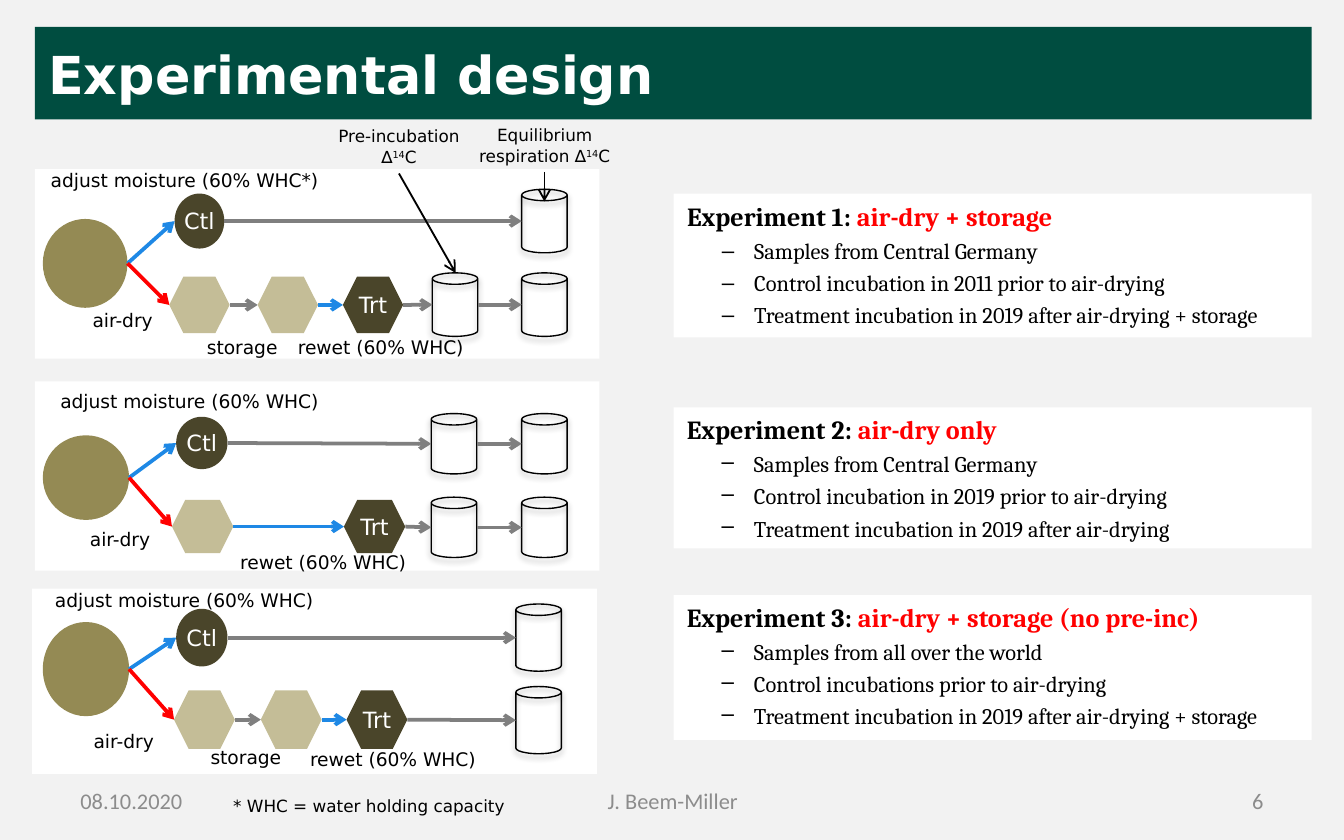
from lxml import etree
from pptx import Presentation
from pptx import util as u
from pptx.dml.color import RGBColor
from pptx.enum import shapes, text
from pptx.oxml import ns

HEX = dict(back="F2F2F2", white="FFFFFF", black="000000", green="004D40",
           red="FF0000", blue="1E88E5", gray="7F7F7F", foot="8C8C8C",
           soil="948A54", dry="C4BD97", wet="4A452A")
KIND = shapes.MSO_SHAPE
SIDE = dict(l=text.PP_ALIGN.LEFT, c=text.PP_ALIGN.CENTER, r=text.PP_ALIGN.RIGHT)
SANS = dict(name="DejaVu Sans", size=u.Pt(10), bold=False)
NOTE = SANS | dict(size=u.Pt(9))
MARK = SANS | dict(size=u.Pt(12))
HEAD = SANS | dict(size=u.Pt(28), bold=True)
FOOT = dict(name="Calibri", size=u.Pt(12))
LEAD = dict(name="Cambria", size=u.Pt(14), bold=True)
ITEM = dict(name="Cambria", size=u.Pt(12), bold=False)

TITLE = "Experimental design"
LISTS = [
    ("Experiment 1: ", "air-dry + storage", (3.66, 2.72),
     ["Samples from Central Germany",
      "Control incubation in 2011 prior to air-drying",
      "Treatment incubation in 2019 after air-drying + storage"]),
    ("Experiment 2: ", "air-dry only", (7.7, 2.67),
     ["Samples from Central Germany",
      "Control incubation in 2019 prior to air-drying",
      "Treatment incubation in 2019 after air-drying"]),
    ("Experiment 3: ", "air-dry + storage (no pre-inc)", (11.25, 2.74),
     ["Samples from all over the world",
      "Control incubations prior to air-drying",
      "Treatment incubation in 2019 after air-drying + storage"]),
]
FLOWS = [
    dict(panel=(0.66, 3.2, 10.67, 3.58), soil=(0.81, 4.14, 1.6, 1.68),
         ctl=(3.3, 3.66, 0.94, 1.04), hexes=[3.2, 4.87, 6.48],
         row=(5.23, 1.14, 1.07), jars=([9.86], [8.17, 9.86]),
         tops=(3.58, 5.16), tall=1.2),
    dict(panel=(0.66, 7.21, 10.67, 3.58), soil=(0.81, 8.23, 1.63, 1.6),
         ctl=(3.33, 7.88, 0.97, 0.99), hexes=[3.25, 6.5],
         row=(9.45, 1.16, 1.01), jars=([8.15, 9.86], [8.15, 9.86]),
         tops=(7.82, 9.4), tall=1.14),
    dict(panel=(0.61, 11.13, 10.67, 3.5), soil=(0.81, 11.76, 1.63, 1.78),
         ctl=(3.33, 11.51, 0.97, 1.09), hexes=[3.29, 4.93, 6.55],
         row=(13.05, 1.15, 1.11), jars=([9.75], [9.75]),
         tops=(11.42, 12.98), tall=1.27),
]
LABELS = [
    ("adjust moisture (60% WHC*)", 0.71, 3.07), ("air-dry", 1.5, 5.72),
    ("storage", 3.66, 6.22), ("rewet (60% WHC)", 5.38, 6.22),
    ("adjust moisture (60% WHC)", 0.89, 7.24), ("air-dry", 1.45, 9.86),
    ("rewet (60% WHC)", 4.29, 10.29),
    ("adjust moisture (60% WHC)", 0.79, 11), ("air-dry", 1.52, 13.67),
    ("storage", 3.73, 13.97), ("rewet (60% WHC)", 5.61, 14.02),
]
NOTES = [("Pre-incubation ∆", (5.89, 2.26, 3.3, 1.02), (7.54, 3.28, 8.61, 5.16)),
         ("Equilibrium respiration ∆", (8.53, 2.24, 3.53, 1.02),
          (10.29, 3.25, 10.29, 3.81))]
FEET = [("08.10.2020", (1.27, 14.71, 5.92, 0.84), "l", FOOT, "foot"),
        ("J. Beem-Miller", (8.69, 14.71, 8.05, 0.84), "c", FOOT, "foot"),
        ("6", (18.21, 14.71, 5.92, 0.84), "r", FOOT, "foot"),
        ("* WHC = water holding capacity", (4.11, 14.91, 5.72, 0.64), "c",
         NOTE, "black")]


def rgb(key):
    return RGBColor.from_string(HEX[key])


def paint(obj, key):
    obj.fill.solid()
    obj.fill.fore_color.rgb = rgb(key)


def put(obj, attrs):
    for key, val in attrs.items():
        setattr(obj, key, val)


def place(obj, box):
    put(obj, dict(zip(("left", "top", "width", "height"), map(u.Cm, box))))


def sub(node, tag, **attrs):
    return etree.SubElement(node, ns.qn(tag), attrs)


def write(para, words, font, tint="black"):
    run = para.add_run()
    run.text = words
    put(run.font, font)
    run.font.color.rgb = rgb(tint)
    return run


def frame(obj, wrap=True, mid=False):
    put(obj.text_frame, dict(
        word_wrap=wrap, auto_size=text.MSO_AUTO_SIZE.NONE,
        vertical_anchor=text.MSO_ANCHOR.MIDDLE if mid else text.MSO_ANCHOR.TOP))
    return obj.text_frame


def note(slide, words, box, side="l", font=SANS, tint="black", wrap=True, mid=False):
    tf = frame(slide.shapes.add_textbox(*map(u.Cm, box)), wrap, mid)
    para = tf.paragraphs[0]
    para.alignment = SIDE[side]
    write(para, words, font, tint)
    return para


def block(slide, kind, box, tint, mark=""):
    obj = slide.shapes.add_shape(kind, *map(u.Cm, box))
    obj.shadow.inherit = False
    obj.line.fill.background()
    paint(obj, tint)
    if mark:
        tf = frame(obj, False, True)
        put(tf, dict.fromkeys(("margin_left", "margin_right",
                               "margin_top", "margin_bottom"), 0))
        tf.paragraphs[0].alignment = SIDE["c"]
        write(tf.paragraphs[0], mark, MARK, "white")


def jar(slide, box):
    obj = slide.shapes.add_shape(KIND.CAN, *map(u.Cm, box))
    obj.fill.background()
    obj.line.color.rgb = rgb("black")
    obj.line.width = u.Pt(0.75)
    obj.shadow.inherit = False
    glow = sub(obj.element.spPr.find(ns.qn("a:effectLst")), "a:outerShdw",
               blurRad=str(u.Pt(3.1)), dist=str(u.Pt(1.8)), dir="5400000",
               rotWithShape="0")
    sub(sub(glow, "a:srgbClr", val=HEX["black"]), "a:alpha", val="35000")


def arrow(slide, ends, tint, width=2):
    link = slide.shapes.add_connector(shapes.MSO_CONNECTOR.STRAIGHT, *map(u.Cm, ends))
    link.line.color.rgb = rgb(tint)
    link.line.width = u.Pt(width)
    sub(link.line._get_or_add_ln(), "a:tailEnd", type="arrow")
    sub(link.element.spPr, "a:effectLst")


def join(slide, one, two, tint):
    arrow(slide, (one[0] + one[2], one[1] + one[3] / 2,
                  two[0], two[1] + two[3] / 2), tint)


def flow(slide, panel, soil, ctl, hexes, row, jars, tops, tall):
    top, wide, high = row
    cells = [(x, top, wide, high) for x in hexes]
    rows = [[(x, y, 0.86, tall) for x in xs] for xs, y in zip(jars, tops)]
    block(slide, KIND.RECTANGLE, panel, "white")
    block(slide, KIND.OVAL, soil, "soil")
    block(slide, KIND.OVAL, ctl, "wet", "Ctl")
    for cell in cells[:-1]:
        block(slide, KIND.HEXAGON, cell, "dry")
    block(slide, KIND.HEXAGON, cells[-1], "wet", "Trt")
    for box in rows[0] + rows[1]:
        jar(slide, box)
    join(slide, soil, ctl, "blue")
    join(slide, soil, cells[0], "red")
    for chain in ([ctl] + rows[0], cells + rows[1]):
        for one, two in zip(chain, chain[1:]):
            join(slide, one, two, "blue" if two == cells[-1] else "gray")


def outline(obj, lead, tail, span, items):
    place(obj, (12.73, span[0], 12.06, span[1]))
    paint(obj, "white")
    tf = frame(obj)
    para = tf.paragraphs[0]
    write(para, lead, LEAD)
    write(para, tail, LEAD, "red")
    for item in items:
        para = tf.add_paragraph()
        para.level = 1
        write(para, item, ITEM)
    for i, para in enumerate(tf.paragraphs):
        put(para, dict(space_before=u.Pt(2.8 if i else 3.3), alignment=SIDE["l"],
                       space_after=u.Pt(6 if i == len(items) else 0)))
        prop = para._p.get_or_add_pPr()
        prop.set("marL", str(u.Cm(1.27 if i else 0)))
        prop.set("indent", str(u.Cm(-0.61 if i else 0)))
        if i:
            sub(prop, "a:buChar", char="–")
        else:
            sub(prop, "a:buNone")


def main():
    deck = Presentation()
    put(deck, dict(slide_width=u.Cm(25.4), slide_height=u.Cm(15.88)))
    slide = deck.slides.add_slide(deck.slide_layouts[1])
    paint(slide.background, "back")
    head, body = slide.placeholders
    place(head, (0.66, 0.51, 24.13, 1.75))
    paint(head, "green")
    para = frame(head, mid=True).paragraphs[0]
    para.alignment = SIDE["l"]
    write(para, TITLE, HEAD, "white")
    for i, data in enumerate(LISTS):
        outline(slide.shapes.add_textbox(0, 0, 0, 0) if i else body, *data)
    for data in FLOWS:
        flow(slide, **data)
    for words, x, y in LABELS:
        note(slide, words, (x, y, 0.51 + 0.2 * len(words), 0.69), wrap=False)
    for words, box, ends in NOTES:
        para = note(slide, words, box, "c", NOTE)
        write(para, "14", NOTE).font._element.set("baseline", "30000")
        write(para, "C", NOTE)
        arrow(slide, ends, "black", 1)
    for data in FEET:
        note(slide, *data, mid=True)
    deck.save("out.pptx")


if __name__ == "__main__":
    main()
